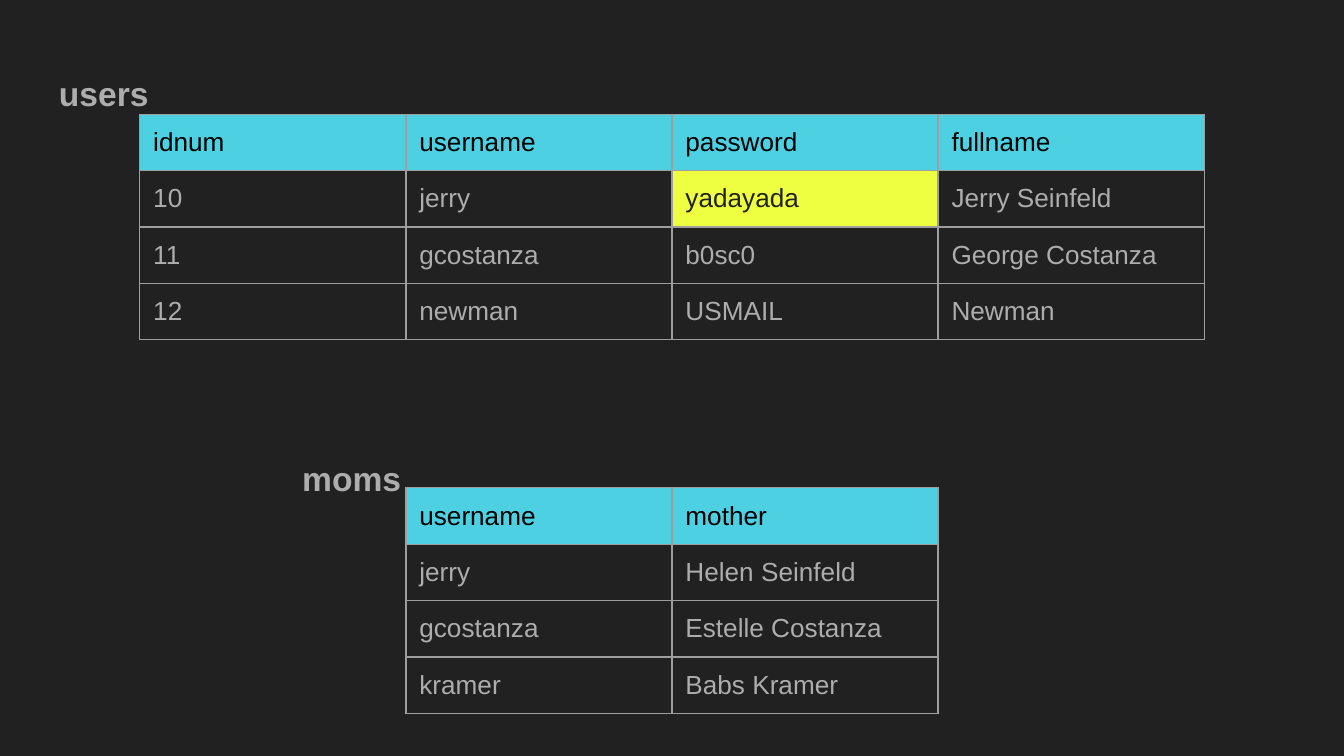
"""Build a slide with two related database tables, users and moms."""
from lxml import etree
from pptx import Presentation
from pptx.dml.color import RGBColor
from pptx.oxml import ns
from pptx.util import Inches, Pt

BACKGROUND = RGBColor(0x21, 0x21, 0x21)
GRAY = RGBColor(0xAD, 0xAD, 0xAD)
BLACK = RGBColor(0x00, 0x00, 0x00)
CYAN = RGBColor(0x4D, 0xD0, 0xE1)
YELLOW = RGBColor(0xEE, 0xFF, 0x41)
BORDER = RGBColor(0x9E, 0x9E, 0x9E)

LABELS = [
    {"name": "users", "indent": 0, "space_before": 0},
    {"name": "moms", "indent": 1.81, "space_before": 181},
]
TABLES = [
    {
        "position": (1.04, 0.85),
        "rows": [
            ("idnum", "username", "password", "fullname"),
            ("10", "jerry", "yadayada", "Jerry Seinfeld"),
            ("11", "gcostanza", "b0sc0", "George Costanza"),
            ("12", "newman", "USMAIL", "Newman"),
        ],
    },
    {
        "position": (3.02, 3.63),
        "rows": [
            ("username", "mother"),
            ("jerry", "Helen Seinfeld"),
            ("gcostanza", "Estelle Costanza"),
            ("kramer", "Babs Kramer"),
        ],
    },
]
HIGHLIGHTED = "yadayada"
COLUMN_WIDTH, ROW_HEIGHT = 1.98, 0.42
LABEL_BOX = (0.34, 0.4, 9.32, 4.15)
MARGINS = {f"margin_{side}": Inches(0.1) for side in ("left", "top", "right", "bottom")}
CELL_MARGINS = MARGINS | {"margin_bottom": Inches(0.08)}
LABEL_FONT = {"name": "Arial", "size": Pt(18), "bold": True}
CELL_FONT = {"name": "Arial", "size": Pt(14), "bold": False}


def apply(target, values):
    for name, value in values.items():
        setattr(target, name, value)


def write(paragraph, content, font, color):
    run = paragraph.add_run()
    run.text = content
    apply(run.font, font)
    run.font.color.rgb = color


def add_borders(cell):
    properties = cell._tc.get_or_add_tcPr()
    for index, side in enumerate(("lnL", "lnR", "lnT", "lnB")):
        line = etree.Element(ns.qn(f"a:{side}"), w=str(Pt(0.75)))
        fill = etree.SubElement(line, ns.qn("a:solidFill"))
        etree.SubElement(fill, ns.qn("a:srgbClr"), val=str(BORDER))
        properties.insert(index, line)


def add_labels(slide):
    frame = slide.shapes.add_textbox(*map(Inches, LABEL_BOX)).text_frame
    apply(frame, MARGINS | {"word_wrap": True})
    for index, label in enumerate(LABELS):
        paragraph = frame.add_paragraph() if index else frame.paragraphs[0]
        spacing = {"line_spacing": 1.15, "space_before": Pt(label["space_before"])}
        apply(paragraph, spacing)
        paragraph._p.get_or_add_pPr().set("marL", str(Inches(label["indent"])))
        write(paragraph, label["name"], LABEL_FONT, GRAY)


def cell_colors(row_index, content):
    if row_index == 0:
        return CYAN, BLACK
    if content == HIGHLIGHTED:
        return YELLOW, BACKGROUND
    return None, GRAY


def add_data_table(slide, rows, position):
    size = (COLUMN_WIDTH * len(rows[0]), ROW_HEIGHT * len(rows))
    table = slide.shapes.add_table(len(rows), len(rows[0]), *map(Inches, position + size)).table
    table.horz_banding = False
    for column in table.columns:
        column.width = Inches(COLUMN_WIDTH)
    for row_index, row in enumerate(rows):
        table.rows[row_index].height = Inches(ROW_HEIGHT)
        for column_index, content in enumerate(row):
            cell = table.cell(row_index, column_index)
            apply(cell, CELL_MARGINS)
            fill_color, text_color = cell_colors(row_index, content)
            if fill_color is None:
                cell.fill.background()
            else:
                cell.fill.solid()
                cell.fill.fore_color.rgb = fill_color
            add_borders(cell)
            write(cell.text_frame.paragraphs[0], content, CELL_FONT, text_color)


def main():
    presentation = Presentation()
    presentation.slide_width = Inches(10)
    presentation.slide_height = Inches(10) * 9 // 16
    slide = presentation.slides.add_slide(presentation.slide_layouts[6])
    slide.background.fill.solid()
    slide.background.fill.fore_color.rgb = BACKGROUND
    add_labels(slide)
    for table in TABLES:
        add_data_table(slide, table["rows"], table["position"])
    presentation.save("out.pptx")


if __name__ == "__main__":
    main()
